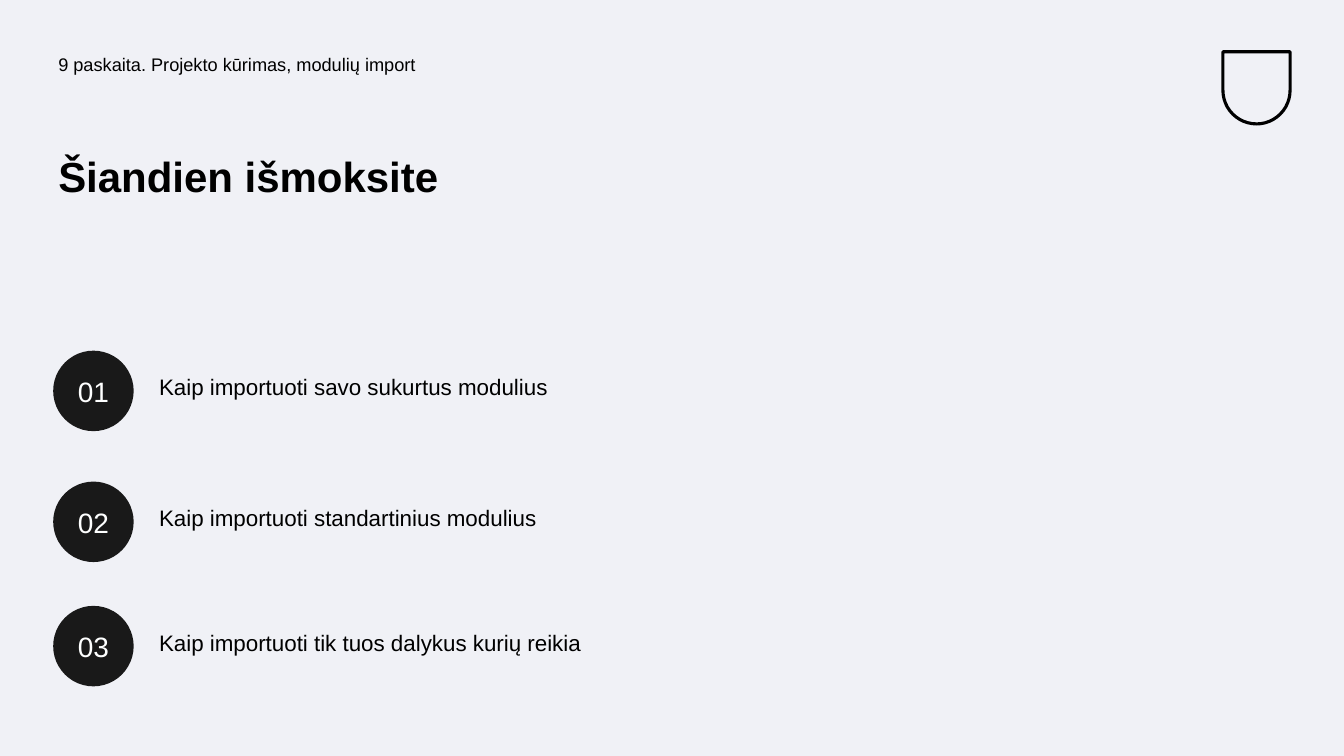
from dataclasses import dataclass

from pptx import Presentation
from pptx.dml.color import RGBColor
from pptx.enum.shapes import MSO_SHAPE as SHAPE
from pptx.enum.text import MSO_ANCHOR as ANCHOR, MSO_AUTO_SIZE as AUTO, PP_ALIGN as ALIGN
from pptx.util import Pt


@dataclass(frozen=True)
class Theme:
    font: str = "Arial"
    background: RGBColor = RGBColor(0xF0, 0xF1, 0xF6)
    ink: RGBColor = RGBColor(0, 0, 0)
    badge: RGBColor = RGBColor(0x19, 0x19, 0x19)
    number: RGBColor = RGBColor(0xFE, 0xFF, 0xFF)
    title_size: int = 30
    header_size: int = 13
    topic_size: int = 16
    number_size: int = 20


THEME = Theme()


def write(shape, text, *, size, color=THEME.ink, bold=False, align=ALIGN.LEFT,
          anchor=ANCHOR.TOP, inset=3.6, spacing=0.9):
    tf = shape.text_frame
    tf.auto_size = AUTO.NONE
    tf.word_wrap = True
    tf.vertical_anchor = anchor
    tf.margin_left = tf.margin_top = tf.margin_right = tf.margin_bottom = Pt(inset)
    p = tf.paragraphs[0]
    p.alignment = align
    p.line_spacing = spacing
    p.space_before = Pt(0)
    r = p.add_run()
    r.text = text
    r.font.name = THEME.font
    r.font.size = Pt(size)
    r.font.bold = bold
    r.font.color.rgb = color


prs = Presentation()
prs.slide_width, prs.slide_height = Pt(960), Pt(540)
s = prs.slides.add_slide(prs.slide_layouts[5])
s.background.fill.solid()
s.background.fill.fore_color.rgb = THEME.background

# Plain shield at the top right
shield = s.shapes.add_shape(SHAPE.ROUND_2_SAME_RECTANGLE, Pt(873.5), Pt(37), Pt(48), Pt(51.5))
shield.rotation = 180
shield.adjustments[0] = 0.5
shield.shadow.inherit = False
shield.fill.background()
shield.line.color.rgb = THEME.ink
shield.line.width = Pt(2.25)

# Heading
left = 38
header = s.shapes.add_textbox(Pt(left), Pt(36), Pt(442), Pt(36))
write(header, "9 paskaita. Projekto kūrimas, modulių import", size=THEME.header_size)

title = s.shapes.title
title.left, title.top, title.width, title.height = Pt(left), Pt(108), Pt(406), Pt(107)
write(title, "Šiandien išmoksite", size=THEME.title_size, bold=True)

# Numbered topics
diameter = 57.5
topics = [
    (250.5, "Kaip importuoti savo sukurtus modulius"),
    (344, "Kaip importuoti standartinius modulius"),
    (432.8, "Kaip importuoti tik tuos dalykus kurių reikia"),
]
for number, (top, text) in enumerate(topics, start=1):
    badge = s.shapes.add_shape(SHAPE.OVAL, Pt(left), Pt(top), Pt(diameter), Pt(diameter))
    badge.shadow.inherit = False
    badge.fill.solid()
    badge.fill.fore_color.rgb = THEME.badge
    badge.line.fill.background()
    write(badge, f"{number:02}", size=THEME.number_size, color=THEME.number,
          align=ALIGN.CENTER, anchor=ANCHOR.MIDDLE, inset=0, spacing=1.0)

    topic = s.shapes.add_textbox(Pt(110), Pt(top + 15), Pt(350), Pt(28))
    write(topic, text, size=THEME.topic_size)

prs.save("out.pptx")
